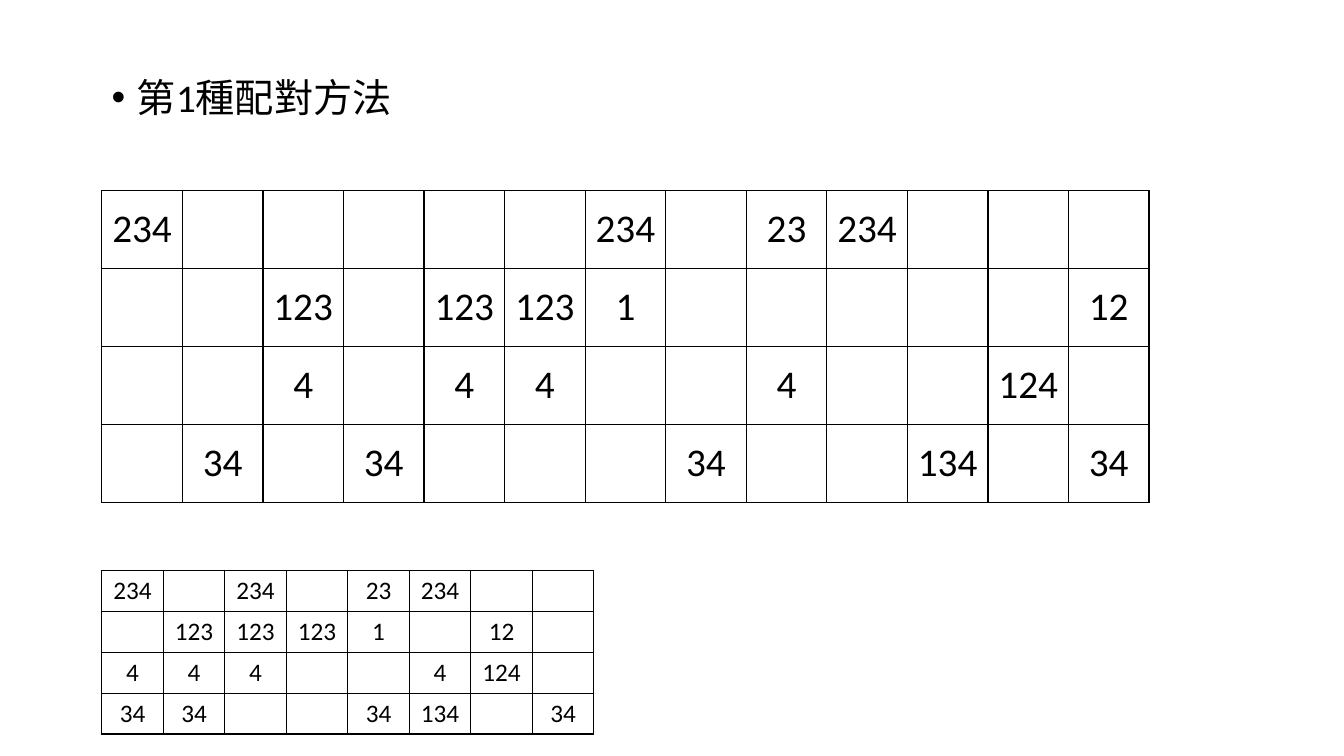
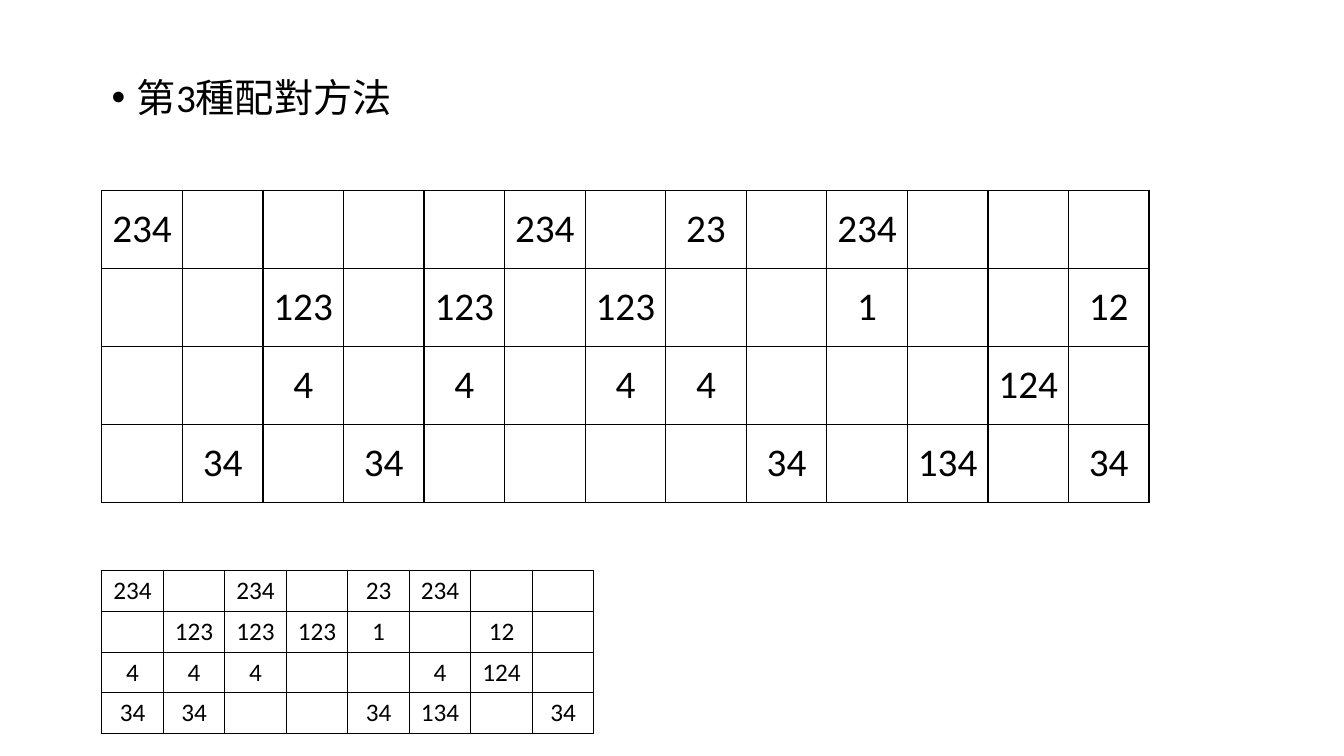
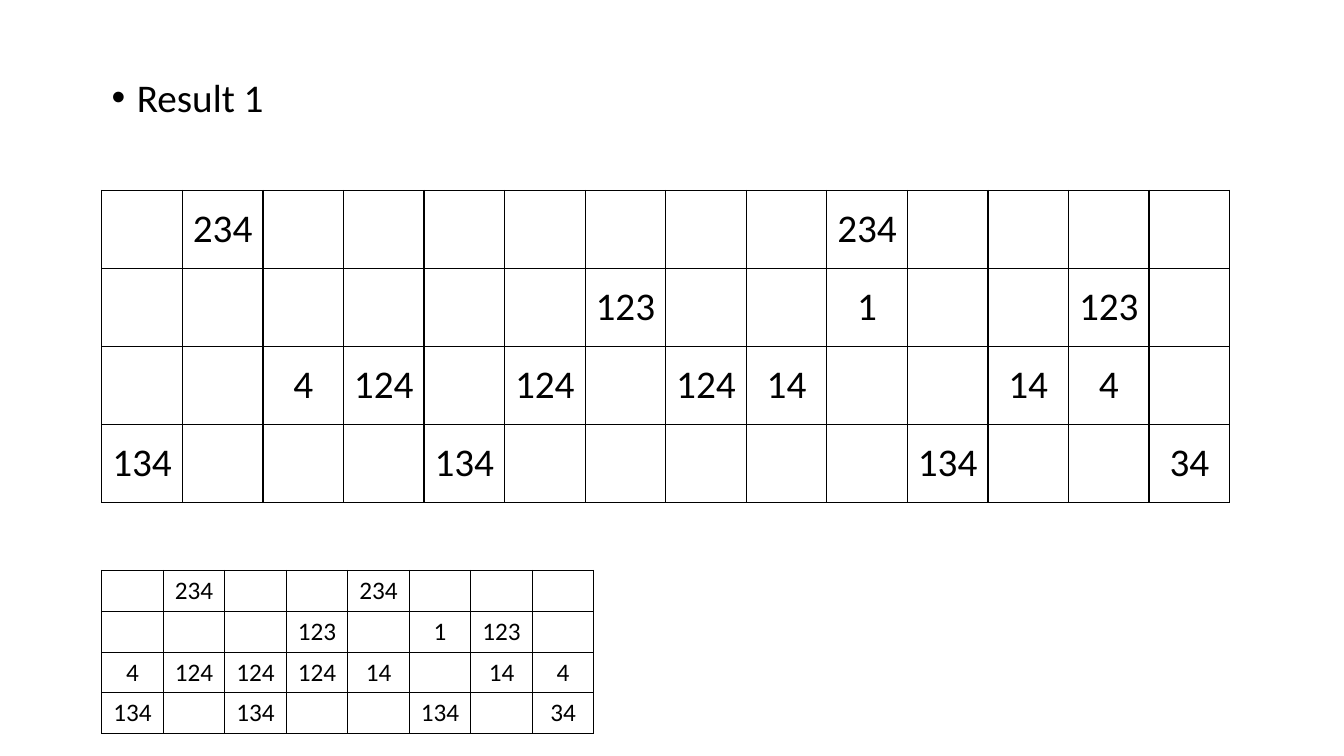
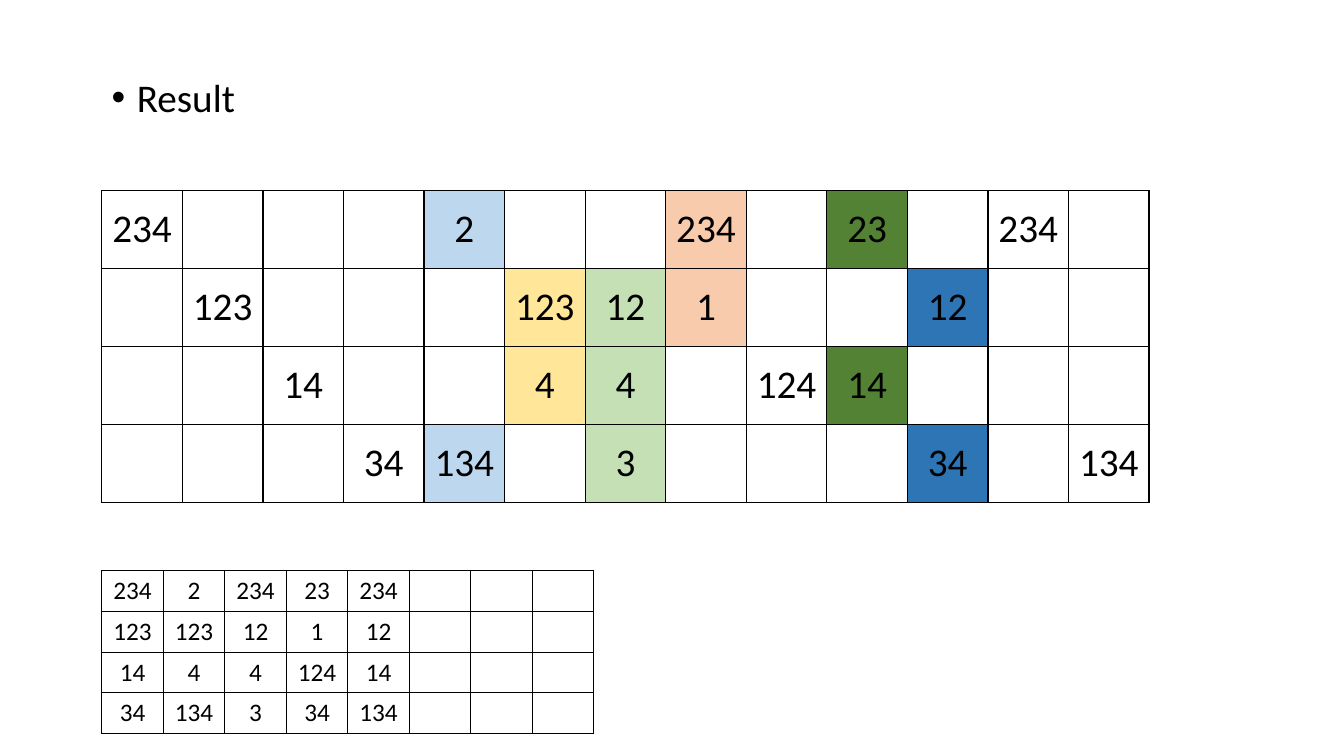
from lxml.etree import SubElement
from pptx import Presentation
from pptx.dml.color import RGBColor
from pptx.enum.text import MSO_ANCHOR, PP_ALIGN
from pptx.oxml.ns import qn
from pptx.util import Pt

COLORS = {
    "ink": "000000",
    "pale_blue": "BDD7EE",
    "yellow": "FFE699",
    "pale_green": "C5E0B4",
    "orange": "F8CBAD",
    "green": "548235",
    "blue": "2E75B6",
}
FONT = "Calibri"
LEFT = 72.7
EMPTY = "-"

# Table styles: top, column width, row height, text size
WIDE = (136.1, 57.55, 55.75, 28)
COMPACT = (407.5, 43.95, 29.15, 18)

PAIRED = [
    "234 - 234 - 23 234 - -",
    "- 123 123 123 1 - 12 -",
    "4 4 4 - - 4 124 -",
    "34 34 - - 34 134 - 34",
]

# Each slide: title, wide rows, compact rows, fills of wide columns
SLIDES = [
    (
        "第1種配對方法",
        [
            "234 - - - - - 234 - 23 234 - - -",
            "- - 123 - 123 123 1 - - - - - 12",
            "- - 4 - 4 4 - - 4 - - 124 -",
            "- 34 - 34 - - - 34 - - 134 - 34",
        ],
        PAIRED,
        {},
    ),
    (
        "第3種配對方法",
        [
            "234 - - - - 234 - 23 - 234 - - -",
            "- - 123 - 123 - 123 - - 1 - - 12",
            "- - 4 - 4 - 4 4 - - - 124 -",
            "- 34 - 34 - - - - 34 - 134 - 34",
        ],
        PAIRED,
        {},
    ),
    (
        "Result 1",
        [
            "- 234 - - - - - - - 234 - - - -",
            "- - - - - - 123 - - 1 - - 123 -",
            "- - 4 124 - 124 - 124 14 - - 14 4 -",
            "134 - - - 134 - - - - - 134 - - 34",
        ],
        [
            "- 234 - - 234 - - -",
            "- - - 123 - 1 123 -",
            "4 124 124 124 14 - 14 4",
            "134 - 134 - - 134 - 34",
        ],
        {},
    ),
    (
        "Result",
        [
            "234 - - - 2 - - 234 - 23 - 234 -",
            "- 123 - - - 123 12 1 - - 12 - -",
            "- - 14 - - 4 4 - 124 14 - - -",
            "- - - 34 134 - 3 - - - 34 - 134",
        ],
        [
            "234 2 234 23 234 - - -",
            "123 123 12 1 12 - - -",
            "14 4 4 124 14 - - -",
            "34 134 3 34 134 - - -",
        ],
        {4: "pale_blue", 5: "yellow", 6: "pale_green",
         7: "orange", 9: "green", 10: "blue"},
    ),
]


def color(name):
    return RGBColor.from_string(COLORS[name])


def set_font(paragraph, size):
    font = paragraph.font
    font.name = FONT
    font.size = Pt(size)
    font.color.rgb = color("ink")


def add_title(page, text):
    box = page.shapes.add_textbox(Pt(LEFT), Pt(52.5), Pt(720), Pt(60))
    box.text_frame.word_wrap = True
    para = box.text_frame.paragraphs[0]
    para.text = text
    para.line_spacing = 0.9
    properties = para._p.get_or_add_pPr()
    properties.set("marL", str(Pt(18)))
    properties.set("indent", str(-Pt(18)))
    SubElement(properties, qn("a:buFont"), typeface="Arial")
    SubElement(properties, qn("a:buChar"), char="•")
    set_font(para, 28)


def add_borders(cell):
    properties = cell._tc.get_or_add_tcPr()
    for side in ("lnL", "lnR", "lnT", "lnB"):
        line = SubElement(properties, qn(f"a:{side}"), w=str(Pt(1)))
        fill = SubElement(line, qn("a:solidFill"))
        SubElement(fill, qn("a:srgbClr"), val=COLORS["ink"])


def fill_cell(cell, text, size, fill_name):
    """Write one bordered cell; only cells with text take the fill."""
    cell.margin_left = cell.margin_right = 0
    cell.vertical_anchor = MSO_ANCHOR.MIDDLE
    add_borders(cell)
    if text == EMPTY or fill_name is None:
        cell.fill.background()
    else:
        cell.fill.solid()
        cell.fill.fore_color.rgb = color(fill_name)
    para = cell.text_frame.paragraphs[0]
    para.alignment = PP_ALIGN.CENTER
    if text != EMPTY:
        para.text = text
    set_font(para, size)


def add_grid(page, lines, style, column_fills):
    top, column_width, row_height, size = style
    rows = [line.split() for line in lines]
    column_count = len(rows[0])
    table = page.shapes.add_table(
        len(rows), column_count, Pt(LEFT), Pt(top),
        Pt(column_width * column_count), Pt(row_height * len(rows)),
    ).table
    table.first_row = table.horz_banding = False
    for column in table.columns:
        column.width = Pt(column_width)
    for row_index, row in enumerate(rows):
        table.rows[row_index].height = Pt(row_height)
        for column_index, text in enumerate(row):
            cell = table.cell(row_index, column_index)
            fill_cell(cell, text, size, column_fills.get(column_index))


def main():
    deck = Presentation()
    deck.slide_width, deck.slide_height = Pt(960), Pt(540)
    for title, wide_rows, compact_rows, column_fills in SLIDES:
        page = deck.slides.add_slide(deck.slide_layouts[6])
        add_grid(page, wide_rows, WIDE, column_fills)
        add_grid(page, compact_rows, COMPACT, {})
        add_title(page, title)
    deck.save("out.pptx")


if __name__ == "__main__":
    main()
